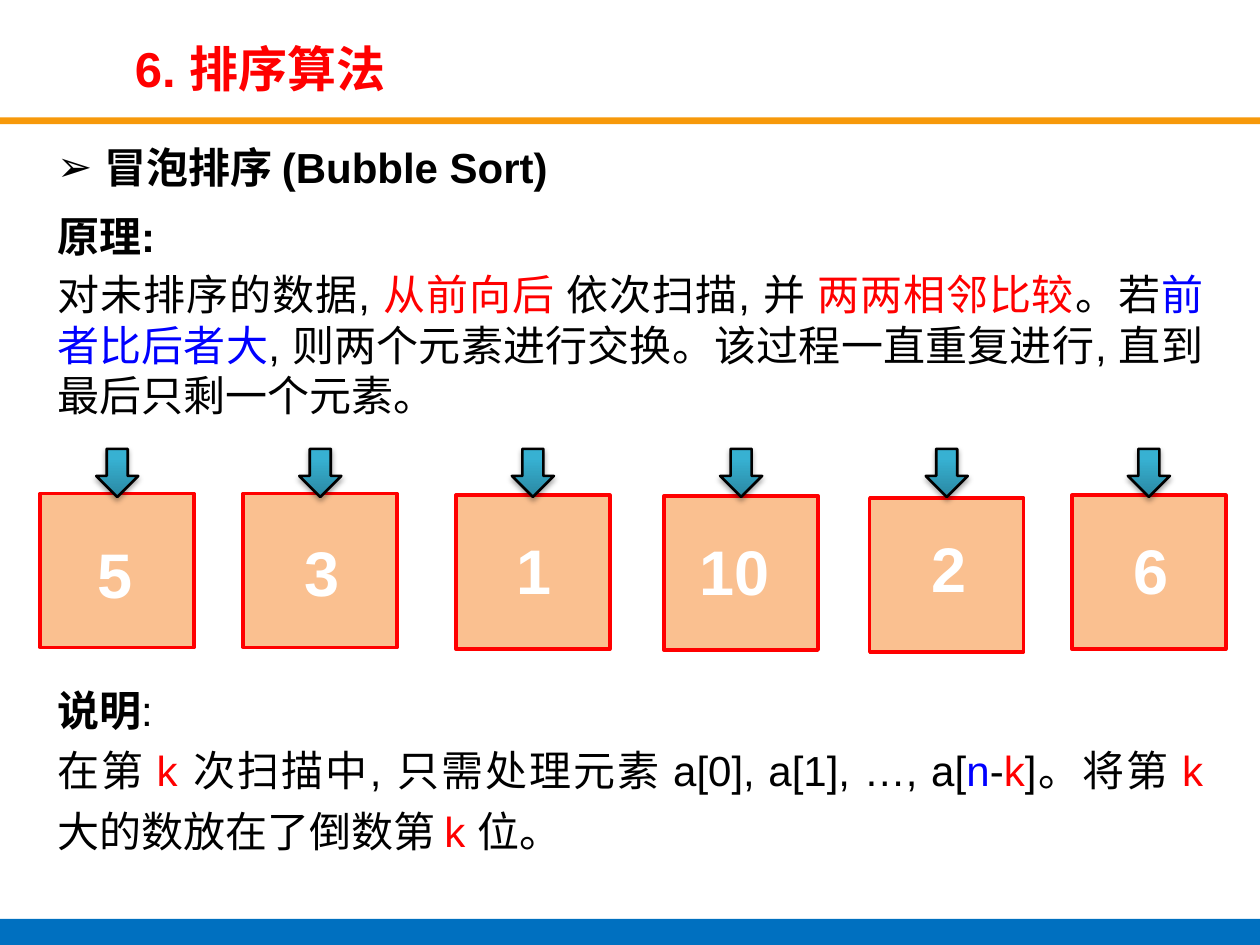
from lxml import etree
from pptx import Presentation
from pptx import util as u
from pptx.dml import color
from pptx.enum import shapes, text
from pptx.oxml import ns

Pt = u.Pt
RED, BLUE, BLACK, WHITE = "FF0000", "0000FF", "000000", "FFFFFF"


def rgb(code):
    return color.RGBColor.from_string(code)


class Deck:
    """Style and current slide."""

    face = "Arial"
    size = 24

    def __init__(self, wide, high):
        self.prs = Presentation()
        self.prs.slide_width, self.prs.slide_height = Pt(wide), Pt(high)
        self.slide = self.prs.slides.add_slide(self.prs.slide_layouts[6])

    def shape(self, kind, x, y, w, h):
        item = self.slide.shapes.add_shape(kind, Pt(x), Pt(y), Pt(w), Pt(h))
        item.shadow.inherit = False
        return item

    def rect(self, x, y, w, h, fill, line=None):
        item = self.shape(shapes.MSO_SHAPE.RECTANGLE, x, y, w, h)
        item.fill.solid()
        item.fill.fore_color.rgb = rgb(fill)
        if line:
            item.line.color.rgb = rgb(line)
            item.line.width = Pt(2)
        else:
            item.line.fill.background()

    def arrow(self, x, y, w, h):
        item = self.shape(shapes.MSO_SHAPE.DOWN_ARROW, x, y, w, h)
        item.fill.gradient()
        item.fill.gradient_angle = 90
        stops = item.fill.gradient_stops
        for stop, place, tone in zip(stops, (0, 0.8), ("2A88A2", "37B1D2")):
            stop.position = place
            stop.color.rgb = rgb(tone)
        item.line.color.rgb = rgb(BLACK)
        item.line.width = Pt(1.5)
        self.shade(item)

    def shade(self, item):
        """Add a soft shadow below the shape."""
        box = item._element.spPr.find(ns.qn("a:effectLst"))
        cast = etree.SubElement(
            box, ns.qn("a:outerShdw"), blurRad=str(Pt(3.1)),
            dist=str(Pt(1.8)), dir="5400000", rotWithShape="0")
        tone = etree.SubElement(cast, ns.qn("a:srgbClr"), val=BLACK)
        etree.SubElement(tone, ns.qn("a:alpha"), val="35000")

    def box(self, x, y, w, h, anchor=text.MSO_ANCHOR.TOP):
        frame = self.slide.shapes.add_textbox(
            Pt(x), Pt(y), Pt(w), Pt(h)).text_frame
        frame.word_wrap = True
        frame.vertical_anchor = anchor
        return frame

    def font(self, para, size, tone, bold):
        para.font.name = self.face
        para.font.size = Pt(size)
        para.font.bold = bold
        if tone:
            para.font.color.rgb = rgb(tone)

    def label(self, words, x, y, w, h, size, tone):
        frame = self.box(x, y, w, h, text.MSO_ANCHOR.MIDDLE)
        para = frame.paragraphs[0]
        para.text = words
        self.font(para, size, tone, True)

    def para(self, frame, parts, bold=False, lead=1.0, before=0, bullet=None):
        """Add a justified paragraph of (words, colour) parts."""
        para = frame.paragraphs[0]
        if para.runs:
            para = frame.add_paragraph()
        para.alignment = text.PP_ALIGN.JUSTIFY
        para.line_spacing = lead
        if before:
            para.space_before = Pt(before)
        if bullet:
            props = para._p.get_or_add_pPr()
            props.set("marL", str(Pt(27)))
            props.set("indent", str(-Pt(27)))
            etree.SubElement(props, ns.qn("a:buFont"), typeface=self.face)
            etree.SubElement(props, ns.qn("a:buChar"), char=bullet)
        self.font(para, self.size, None, bold)
        for words, tone in parts:
            run = para.add_run()
            run.text = words
            run.font.color.rgb = rgb(tone)
        return para


def main():
    deck = Deck(720, 540)
    deck.rect(0, 67, 720, 4, "F7990A")
    deck.rect(0, 525, 720, 15, "0070C0")
    deck.label("6. 排序算法", 70, 19, 494, 39.5, 28, RED)

    idea = deck.box(25.5, 71.5, 669, 180)
    deck.para(idea, [("冒泡排序 (Bubble Sort)", BLACK)],
              bold=True, lead=1.2, bullet="➢")
    deck.para(idea, [("原理:", BLACK)], bold=True, lead=1.2, before=4.8)
    deck.para(idea, [
        ("对未排序的数据, ", BLACK), ("从前向后 ", RED),
        ("依次扫描, 并 ", BLACK), ("两两相邻比较", RED), ("。若", BLACK),
        ("前者比后者大", BLUE),
        (", 则两个元素进行交换。该过程一直重复进行, 直到最后只剩一个元素。", BLACK),
    ], before=4.8)

    # number, tile left, tile top, number left, number top
    tiles = [
        ("5", 23, 282, 48.5, 302), ("3", 139, 282, 167, 301),
        ("1", 260.5, 283, 288, 300), ("10", 379.5, 283.5, 392.5, 300.5),
        ("2", 497, 284.5, 525, 298.5), ("6", 612.5, 283, 640.5, 300),
    ]
    side, wide = 88, 24
    for num, x, y, left, top in tiles:
        deck.rect(x, y, side, side, "FAC090", RED)
        deck.label(num, left, top, 2 + 30 * len(num), 51, 36, WHITE)
    for num, x, y, left, top in tiles:
        deck.arrow(x + (side - wide) / 2, 256.5, wide, 27.5)

    note = deck.box(25.5, 387.5, 669, 110)
    head = deck.para(note, [("说明", BLACK), (":", BLACK)])
    head.runs[0].font.bold = True
    deck.para(note, [
        ("在第 ", BLACK), ("k ", RED),
        ("次扫描中, 只需处理元素 a[0], a[1], …, a[", BLACK),
        ("n", BLUE), ("-", BLACK), ("k", RED), ("]。将第 ", BLACK),
        ("k ", RED), ("大的数放在了倒数第 ", BLACK), ("k ", RED),
        ("位。", BLACK),
    ], lead=1.2)
    deck.prs.save("out.pptx")


if __name__ == "__main__":
    main()
